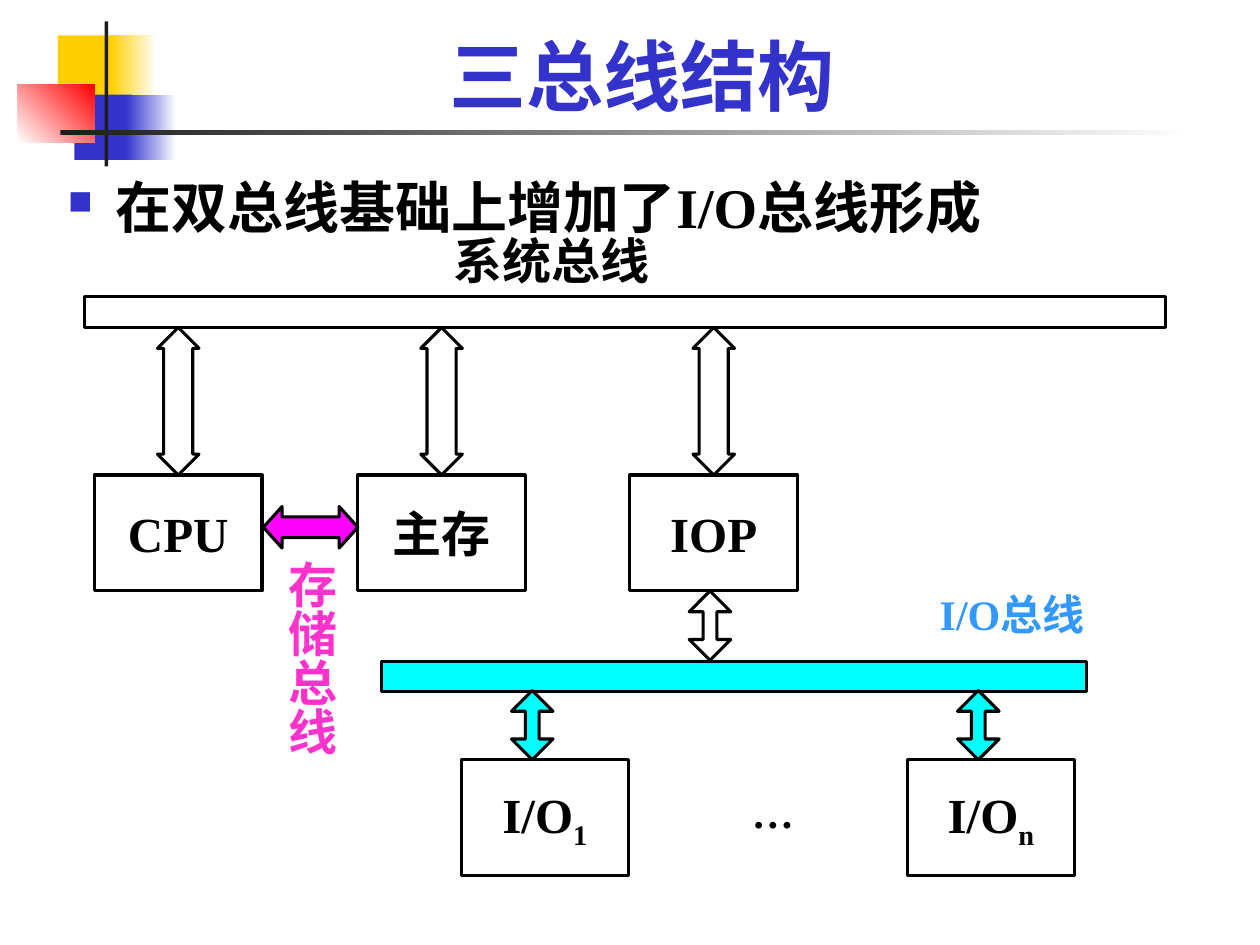
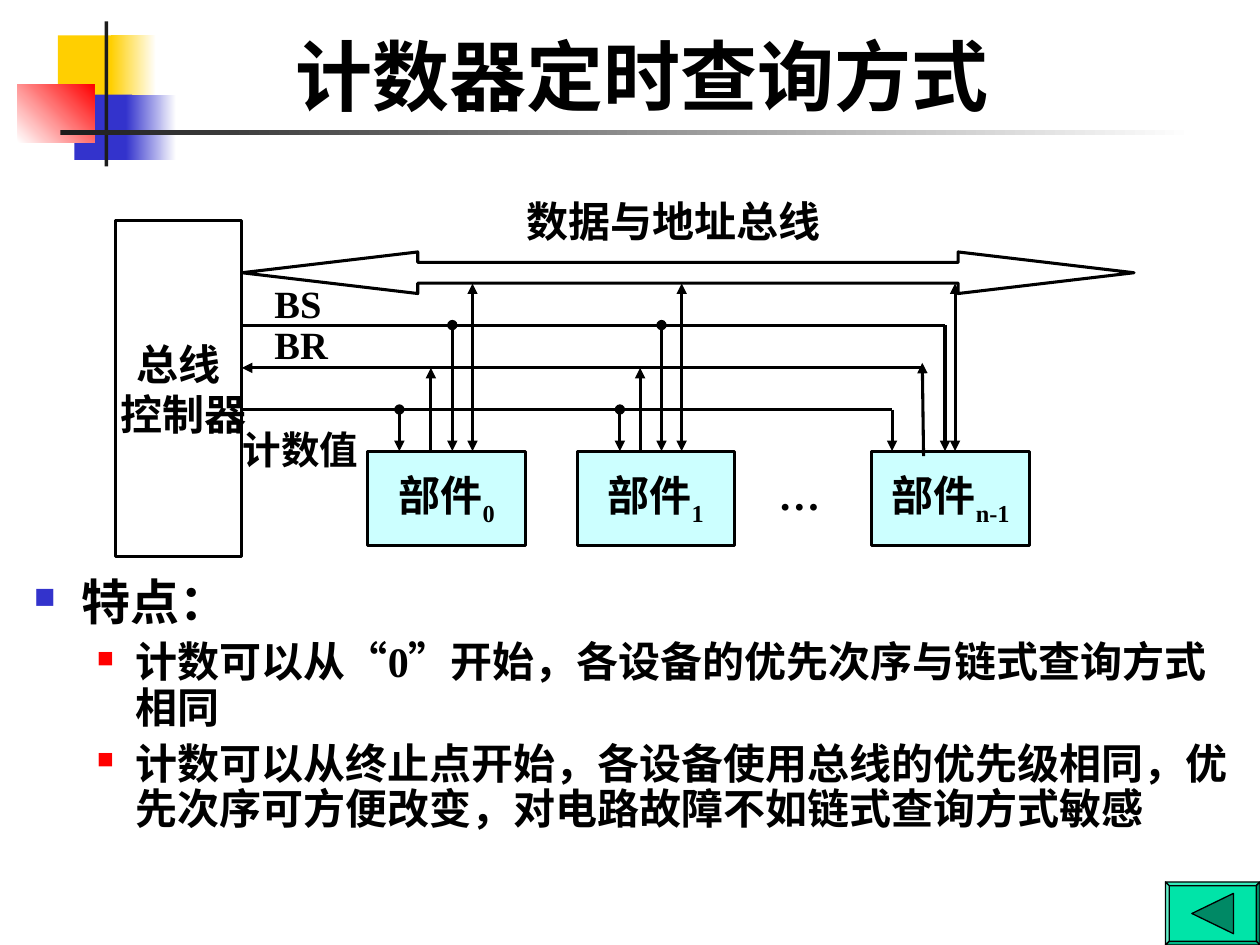
from lxml import etree
from pptx import Presentation
from pptx import util as u
from pptx.dml import color as dml
from pptx.enum import shapes, text
from pptx.oxml import ns

THEME = {
    "latin": "Times New Roman", "label": "Karla",
    "title": 44, "lead": 32, "large": 28, "medium": 24, "small": 22,
    "stroke": 1.75, "hairline": 0.75,
    "black": "000000", "white": "FFFFFF", "ink": "1C1C1C",
    "blue": "3333CC", "yellow": "FFCF01", "red": "FF0000",
    "magenta": "FF00FF", "pink": "FF33CC", "cyan": "00FFFF",
    "sky": "3399FF", "pale": "CCFFFF",
    "button": "00E4A8", "button_top": "33E9B9", "button_left": "66EFCB",
    "button_bottom": "00B686", "button_dark": "008965",
}
SHAPE = shapes.MSO_SHAPE
ANCHOR = text.MSO_ANCHOR
ALIGN = text.PP_ALIGN


def draw(page, kind, area, fill, line=None, fade=None, angle=0):
    shape = page.shapes.add_shape(kind, *map(u.Inches, area))
    shape.shadow.inherit = False
    if fade:
        shape.fill.gradient()
        shape.fill.gradient_angle = angle
        for stop, name in zip(shape.fill.gradient_stops, (fill, fade)):
            stop.color.rgb = dml.RGBColor.from_string(THEME[name])
    else:
        shape.fill.solid()
        shape.fill.fore_color.rgb = dml.RGBColor.from_string(THEME[fill])
    if line:
        shape.line.color.rgb = dml.RGBColor.from_string(THEME["black"])
        shape.line.width = u.Pt(THEME[line])
    else:
        shape.line.fill.background()
    return shape


def write(box, lines, size, color="black", font="latin", align=ALIGN.LEFT, **frame_format):
    frame = box.text_frame
    for name, value in ({"word_wrap": True} | frame_format).items():
        setattr(frame, name, value)
    for index, line in enumerate(lines):
        para = frame.add_paragraph() if index else frame.paragraphs[0]
        para.alignment = align
        base, _, subscript = line.partition("_")
        for words in filter(None, (base, subscript)):
            span = para.add_run()
            span.text = words
            values = {"name": THEME[font], "size": u.Pt(THEME[size]), "bold": True}
            for name, value in values.items():
                setattr(span.font, name, value)
            span.font.color.rgb = dml.RGBColor.from_string(THEME[color])
            if words is subscript:
                span.font._element.set("baseline", "-25000")
    return frame


deck = Presentation()
deck.slide_width, deck.slide_height = u.Inches(10), u.Inches(7.5)

BANDS = [
    ((0.46, 0.28, 0.48, 0.52), "yellow", None, 0),
    ((0.88, 0.28, 0.36, 0.52), "yellow", "white", 0),
    ((0.59, 0.75, 0.46, 0.52), "blue", None, 0),
    ((1, 0.75, 0.4, 0.52), "blue", "white", 0),
    ((0.14, 0.67, 0.61, 0.46), "white", "red", 45),
    ((0.83, 0.17, 0.03, 1.15), "ink", None, 0),
    ((0.48, 1.03, 9, 0.04), "ink", "white", 0),
]
pages = []
for title, color in [("三总线结构", "blue"), ("计数器定时查询方式", "black")]:
    page = deck.slides.add_slide(deck.slide_layouts[6])
    for area, fill, fade, angle in BANDS:
        draw(page, SHAPE.RECTANGLE, area, fill, fade=fade, angle=angle)
    box = page.shapes.add_textbox(*map(u.Inches, (0.42, 0.08, 9.36, 0.93)))
    write(box, [title], "title", color, align=ALIGN.CENTER, vertical_anchor=ANCHOR.BOTTOM)
    pages.append(page)
structure, polling = pages

buses = [((0.67, 2.35, 8.58, 0.25), "white"), ((3.03, 5.25, 5.59, 0.24), "cyan")]
for area, fill in buses:
    draw(structure, SHAPE.RECTANGLE, area, fill, "stroke")

arrows = [(left, 2.6, 1.17, 0.7, "white") for left in (1.25, 3.34, 5.5)]
arrows += [(5.47, 4.69, 0.55, 0.33, "white")]
arrows += [(left, 5.48, 0.55, 0.33, "cyan") for left in (4.06, 7.6)]
for left, top, height, head, fill in arrows:
    arrow = draw(structure, SHAPE.UP_DOWN_ARROW, (left, top, 0.33, height), fill, "stroke")
    arrow.adjustments[1] = head

units = [("CPU", 0.75, 3.77), ("主存", 2.84, 3.77), ("IOP", 5, 3.77),
         ("I/O_1", 3.66, 6.03), ("I/O_n", 7.2, 6.03)]
for name, left, top in units:
    unit = draw(structure, SHAPE.RECTANGLE, (left, top, 1.33, 0.92), "white", "stroke")
    write(unit, [name], "large", align=ALIGN.CENTER, vertical_anchor=ANCHOR.MIDDLE, word_wrap=False)

memory_bus = draw(structure, SHAPE.LEFT_RIGHT_ARROW, (2.09, 4.02, 0.75, 0.33), "magenta", "stroke")
memory_bus.adjustments[1] = 0.45

box = structure.shapes.add_textbox(*map(u.Inches, (2.09, 4.35, 0.66, 1.75)))
frame = write(box, ["存储总线"], "large", "pink", "label",
              margin_left=u.Inches(0.05), margin_right=u.Inches(0.05),
              margin_top=u.Inches(0.1), margin_bottom=0)
box.element.txBody.find(ns.qn("a:bodyPr")).set("vert", "eaVert")

bus_controller = draw(polling, SHAPE.RECTANGLE, (0.92, 1.75, 1, 2.67), "white", "stroke")
frame = write(bus_controller, ["总线", "控制器"], "medium", font="label", align=ALIGN.CENTER,
              vertical_anchor=ANCHOR.MIDDLE, word_wrap=False)
frame.paragraphs[1]._p.get_or_add_pPr().set("marL", str(u.Inches(0.08)))
data_bus = draw(polling, SHAPE.LEFT_RIGHT_ARROW, (1.92, 2, 7.08, 0.33), "white", "stroke")
data_bus.adjustments[1] = 4.23

for number, left in [("0", 2.92), ("1", 4.58), ("n-1", 6.92)]:
    part = draw(polling, SHAPE.RECTANGLE, (left, 3.58, 1.25, 0.75), "pale", "stroke")
    write(part, ["部件_" + number], "medium", align=ALIGN.CENTER,
          vertical_anchor=ANCHOR.MIDDLE, word_wrap=False)

DATA, BS, BR, COUNT, PART = 2.25, 2.58, 2.92, 3.25, 3.58
wires = [
    (1.92, BS, 7.5, BS, None, None),
    (7.5, BS, 7.5, PART, None, "triangle"),
    (1.92, BR, 7.33, BR, "triangle", None),
    (7.33, 3.62, 7.32, 2.88, None, "triangle"),
    (1.92, COUNT, 7.08, COUNT, None, None),
    (7.08, COUNT, 7.08, PART, None, "triangle"),
    (7.58, DATA, 7.58, PART, "triangle", "triangle"),
]
for count_x, request_x in [(3.17, 3.42), (4.92, 5.08)]:
    grant_x, data_x = request_x + 0.17, request_x + 0.33
    wires += [
        (count_x, COUNT, count_x, PART, "oval", "triangle"),
        (request_x, PART, request_x, BR, None, "triangle"),
        (grant_x, BS, grant_x, PART, "oval", "triangle"),
        (data_x, DATA, data_x, PART, "triangle", "triangle"),
    ]
for *ends, head, tail in wires:
    wire = polling.shapes.add_connector(shapes.MSO_CONNECTOR.STRAIGHT, *map(u.Inches, ends))
    wire.line.color.rgb = dml.RGBColor.from_string(THEME["black"])
    wire.line.width = u.Pt(THEME["stroke"])
    properties = wire.element.spPr
    outline = properties.find(ns.qn("a:ln"))
    for tag, kind in [("a:headEnd", head), ("a:tailEnd", tail)]:
        if kind:
            etree.SubElement(outline, ns.qn(tag), type=kind)
    etree.SubElement(properties, ns.qn("a:effectLst"))

labels = [
    (structure, "系统总线", (3.5, 1.78, 2.08, 0.57), "large", "black", "label"),
    (structure, "I/O总线", (7.36, 4.62, 1.89, 0.5), "medium", "sky", "latin"),
    (structure, "…", (5.87, 6.19, 0.5, 0.5), "medium", "black", "latin"),
    (polling, "数据与地址总线", (4.08, 1.5, 2.67, 0.5), "medium", "black", "label"),
    (polling, "…", (6.08, 3.67, 0.67, 0.5), "medium", "black", "latin"),
    (polling, "计数值", (1.83, 3.33, 1.17, 0.47), "small", "black", "latin"),
    (polling, "BR", (2.08, 2.5, 0.92, 0.47), "small", "black", "latin"),
    (polling, "BS", (2.08, 2.17, 0.92, 0.47), "small", "black", "latin"),
]
for page, words, area, size, color, font in labels:
    box = page.shapes.add_textbox(*map(u.Inches, area))
    write(box, [words], size, color, font)

LEFT, TOP, RIGHT, BOTTOM, BEVEL = 9.25, 7, 10, 7.5, 0.03
outer = [(LEFT, TOP), (RIGHT, TOP), (RIGHT, BOTTOM), (LEFT, BOTTOM)]
inner = [(LEFT + BEVEL, TOP + BEVEL), (RIGHT - BEVEL, TOP + BEVEL),
         (RIGHT - BEVEL, BOTTOM - BEVEL), (LEFT + BEVEL, BOTTOM - BEVEL)]
facets = [(inner, "button"), ([(9.46, 7.25), (9.79, 7.09), (9.79, 7.41)], "button_dark")]
sides = ["button_top", "button_dark", "button_bottom", "button_left"]
for side, fill in enumerate(sides):
    following = (side + 1) % 4
    facets.append(([outer[side], outer[following], inner[following], inner[side]], fill))
for points, fill in facets:
    corners = [(u.Inches(x), u.Inches(y)) for x, y in points]
    builder = polling.shapes.build_freeform(*corners[0])
    builder.add_line_segments(corners[1:], close=True)
    facet = builder.convert_to_shape()
    facet.shadow.inherit = False
    facet.fill.solid()
    facet.fill.fore_color.rgb = dml.RGBColor.from_string(THEME[fill])
    facet.line.color.rgb = dml.RGBColor.from_string(THEME["black"])
    facet.line.width = u.Pt(THEME["hairline"])

LEVELS = [(0.38, -0.38, "blue", 60), (0.81, -0.31, "red", 55)]
bodies = [
    (structure, (0.44, 1.32, 9.29, 0.82), 1, [("在双总线基础上增加了I/O总线形成", 0, "lead")]),
    (polling, (0.17, 4.54, 9.83, 2.74), 0.9, [
        ("特点：", 0, "large"),
        ("计数可以从“0”开始，各设备的优先次序与链式查询方式相同", 1, "medium"),
        ("计数可以从终止点开始，各设备使用总线的优先级相同，优先次序可方便改变，对电路故障不如链式查询方式敏感", 1, "medium"),
    ]),
]
for page, area, spacing, points in bodies:
    box = page.shapes.add_textbox(*map(u.Inches, area))
    frame = write(box, [words for words, _, _ in points], "medium")
    for index, (para, (_, level, size)) in enumerate(zip(frame.paragraphs, points)):
        margin, indent, color, percent = LEVELS[level]
        para.level = level
        para.line_spacing = spacing
        if index:
            para.space_before = u.Pt(6)
        para.runs[0].font.size = u.Pt(THEME[size])
        properties = para._p.get_or_add_pPr()
        properties.set("marL", str(u.Inches(margin)))
        properties.set("indent", str(u.Inches(indent)))
        tint = etree.SubElement(properties, ns.qn("a:buClr"))
        etree.SubElement(tint, ns.qn("a:srgbClr"), val=THEME[color])
        etree.SubElement(properties, ns.qn("a:buSzPct"), val=str(percent * 1000))
        etree.SubElement(properties, ns.qn("a:buChar"), char="■")

deck.save("out.pptx")
